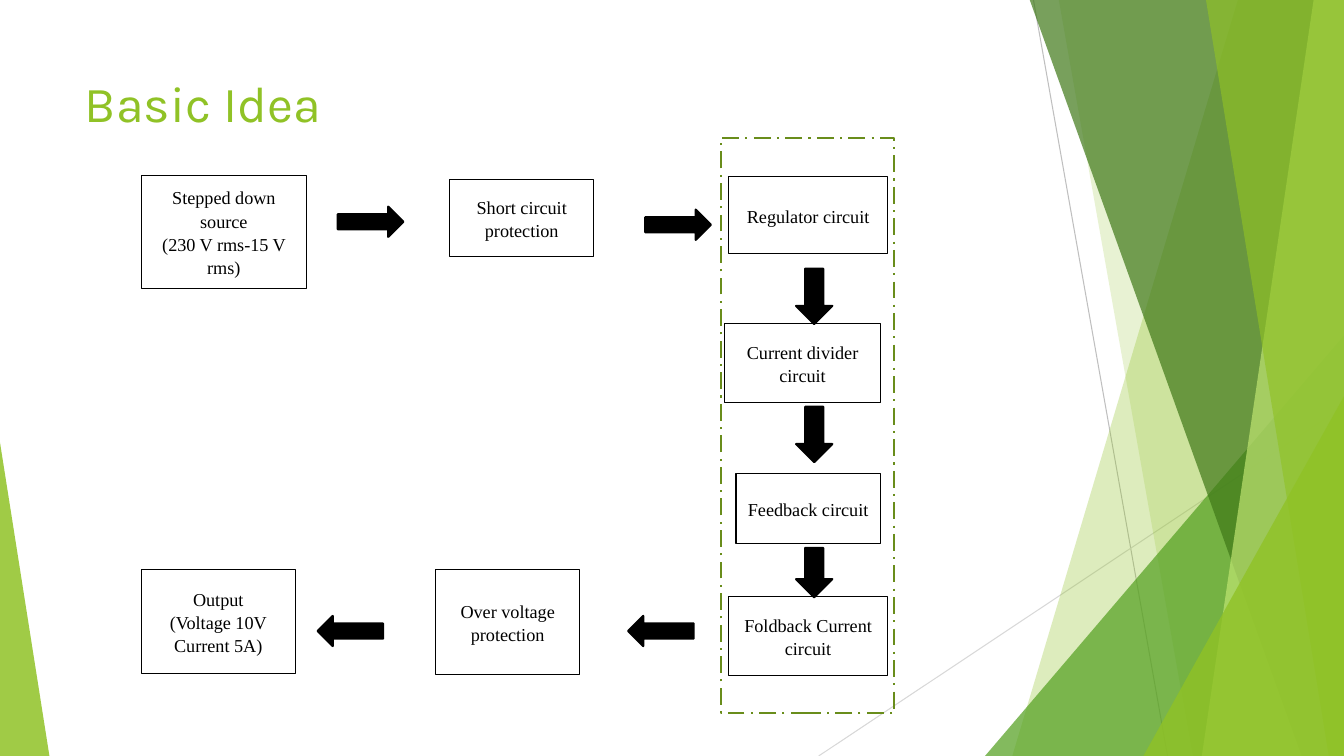
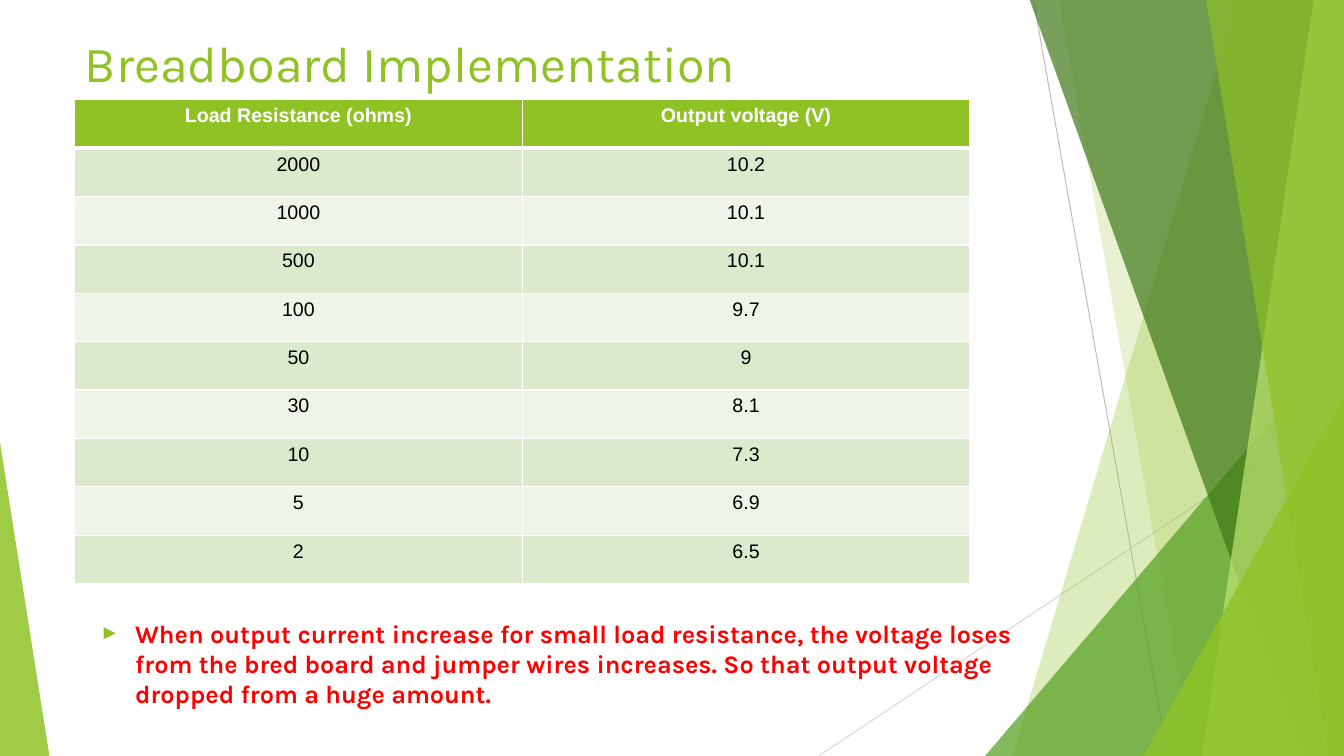
import pptx
import pptx.dml.color
import pptx.enum.dml
import pptx.enum.shapes
import pptx.enum.text
import pptx.oxml.ns
import pptx.util
from lxml import etree
from pptx.util import Inches

SLIDE_WIDTH, SLIDE_HEIGHT = 13.33, 7.5
GREEN, MID_GREEN, DARK_GREEN, PALE_GREEN = "90C226", "54A021", "3F7818", "BFE471"
FRAME_GREEN = "698D1B"
BLACK, WHITE, RED = "000000", "FFFFFF", "FF0000"
BAND_COLORS = ("DBE9CD", "EEF4E8")
THEME_FONT, DIAGRAM_FONT, TABLE_FONT = "Karla", "Times New Roman", "Arial"

PRESETS = pptx.enum.shapes.MSO_SHAPE
ANCHORS = pptx.enum.text.MSO_ANCHOR
ALIGNMENTS = pptx.enum.text.PP_ALIGN
qn = pptx.oxml.ns.qn

# Text, left, top, width, height
CIRCUIT_BLOCKS = (
    (("Stepped down source", "(230 V rms-15 V rms)"), 1.4, 1.74, 1.64, 1.12),
    (("Short circuit protection",), 4.46, 1.78, 1.43, 0.77),
    (("Regulator circuit",), 7.23, 1.75, 1.57, 0.77),
    (("Current divider circuit",), 7.19, 3.21, 1.54, 0.78),
    (("Feedback circuit",), 7.3, 4.7, 1.43, 0.69),
    (("Foldback Current circuit",), 7.23, 5.92, 1.57, 0.78),
    (("Over voltage protection",), 4.32, 5.65, 1.43, 1.04),
    (("Output", "(Voltage 10V", "Current 5A)"), 1.4, 5.65, 1.53, 1.03),
)
# Left, top, width, height, rotation
FLOW_ARROWS = (
    (3.35, 2.05, 0.65, 0.3, 0),
    (6.4, 2.08, 0.65, 0.3, 0),
    (7.8, 2.76, 0.55, 0.36, 90),
    (7.8, 4.13, 0.55, 0.36, 90),
    (7.83, 5.5, 0.49, 0.36, 90),
    (6.23, 6.11, 0.65, 0.3, 180),
    (3.15, 6.11, 0.65, 0.3, 180),
)
MEASUREMENTS = (
    ("Load Resistance (ohms)", "Output voltage (V)"),
    ("2000", "10.2"),
    ("1000", "10.1"),
    ("500", "10.1"),
    ("100", "9.7"),
    ("50", "9"),
    ("30", "8.1"),
    ("10", "7.3"),
    ("5", "6.9"),
    ("2", "6.5"),
)
CONCLUSION = (
    "When output current increase for small load resistance, the voltage loses "
    "from the bred board and jumper wires increases. So that output voltage "
    "dropped from a huge amount."
)


def rgb(color):
    return pptx.dml.color.RGBColor.from_string(color)


def add_run(paragraph, text, font, size, color, bold=False):
    run = paragraph.add_run()
    run.text = text
    run.font.name = font
    run.font.size = pptx.util.Pt(size)
    run.font.bold = bold
    run.font.color.rgb = rgb(color)


def paint(shape, fill=None, line=None, line_width=0.75, opacity=None):
    """Set fill, outline and opacity percentage; None means no fill or line."""
    shape.shadow.inherit = False
    if fill:
        shape.fill.solid()
        shape.fill.fore_color.rgb = rgb(fill)
    else:
        shape.fill.background()
    if opacity is not None:
        color = shape.element.spPr.find(".//" + qn("a:srgbClr"))
        etree.SubElement(color, qn("a:alpha"), val=str(opacity * 1000))
    if line:
        shape.line.color.rgb = rgb(line)
        shape.line.width = pptx.util.Pt(line_width)
    else:
        shape.line.fill.background()


def add_preset(shapes, preset, left, top, width, height):
    return shapes.add_shape(
        preset, Inches(left), Inches(top), Inches(width), Inches(height)
    )


def add_hairline(shapes, start, end, color):
    line = shapes.add_connector(
        pptx.enum.shapes.MSO_CONNECTOR.STRAIGHT,
        *(Inches(value) for value in start + end),
    )
    line.line.color.rgb = rgb(color)
    line.line.width = pptx.util.Pt(0.75)
    etree.SubElement(line.element.spPr, qn("a:effectLst"))


def add_shard(shapes, top_x, bottom_x, color, opacity):
    """Fill the area between a slanted edge and the right side of the slide."""
    corners = [
        (Inches(x), Inches(y))
        for x, y in (
            (top_x, -0.01),
            (SLIDE_WIDTH, -0.01),
            (SLIDE_WIDTH, SLIDE_HEIGHT),
            (bottom_x, SLIDE_HEIGHT),
        )
    ]
    builder = shapes.build_freeform(*corners[0])
    builder.add_line_segments(corners[1:], close=True)
    paint(builder.convert_to_shape(), color, opacity=opacity)


def add_corner_triangle(shapes, left, top, width, apex, color, opacity):
    triangle = add_preset(
        shapes, PRESETS.ISOSCELES_TRIANGLE, left, top, width, SLIDE_HEIGHT - top
    )
    triangle.adjustments[0] = apex
    paint(triangle, color, opacity=opacity)


def decorate_master(presentation, slide):
    """Build the green bands on a slide and move them to the slide master."""
    bands = slide.shapes.add_group_shape()
    shapes = bands.shapes
    add_hairline(shapes, (10.25, 0), (11.58, SLIDE_HEIGHT), "BFBFBF")
    add_hairline(shapes, (SLIDE_WIDTH, 4.03), (8.12, SLIDE_HEIGHT), "D8D8D8")
    add_shard(shapes, 12.28, 10.04, GREEN, 30)
    add_shard(shapes, 10.5, 11.83, GREEN, 20)
    add_corner_triangle(shapes, 9.77, 3.33, 3.56, 1, MID_GREEN, 72)
    add_shard(shapes, 10.21, 12.91, DARK_GREEN, 70)
    add_shard(shapes, 13.03, 11.92, PALE_GREEN, 70)
    add_shard(shapes, 11.96, 13.18, GREEN, 65)
    add_corner_triangle(shapes, 11.34, 3.93, 1.99, 1, GREEN, 80)
    add_corner_triangle(shapes, 0, 4.39, 0.49, 0, GREEN, 85)
    for number, properties in enumerate(bands.element.iter(qn("p:cNvPr")), 101):
        properties.set("id", str(number))
    presentation.slide_master.shapes.element.insert(2, bands.element)


def place_text(placeholder, left, top, width, height):
    """Position a placeholder and return its first paragraph, left aligned."""
    placeholder.left, placeholder.top = Inches(left), Inches(top)
    placeholder.width, placeholder.height = Inches(width), Inches(height)
    frame = placeholder.text_frame
    frame.word_wrap = True
    frame.auto_size = pptx.enum.text.MSO_AUTO_SIZE.NONE
    frame.vertical_anchor = ANCHORS.TOP
    paragraph = frame.paragraphs[0]
    paragraph.alignment = ALIGNMENTS.LEFT
    return paragraph


def set_title(slide, text, top, width, height):
    paragraph = place_text(slide.shapes.title, 0.74, top, width, height)
    add_run(paragraph, text, THEME_FONT, 36, GREEN)


def set_bullet(paragraph):
    paragraph.space_before = pptx.util.Pt(10)
    properties = paragraph._p.get_or_add_pPr()
    properties.set("marL", str(Inches(0.5)))
    properties.set("indent", str(Inches(-0.35)))
    color = etree.SubElement(properties, qn("a:buClr"))
    etree.SubElement(color, qn("a:srgbClr"), val=GREEN)
    etree.SubElement(properties, qn("a:buSzPct"), val="80000")
    etree.SubElement(properties, qn("a:buFont"), typeface=TABLE_FONT)
    etree.SubElement(properties, qn("a:buChar"), char="►")


def add_block(shapes, lines, left, top, width, height):
    block = add_preset(shapes, PRESETS.RECTANGLE, left, top, width, height)
    paint(block, WHITE, BLACK)
    frame = block.text_frame
    frame.word_wrap = True
    frame.vertical_anchor = ANCHORS.MIDDLE
    for index, text in enumerate(lines):
        paragraph = frame.add_paragraph() if index else frame.paragraphs[0]
        paragraph.alignment = ALIGNMENTS.CENTER
        paragraph.line_spacing = 1.07
        add_run(paragraph, text, DIAGRAM_FONT, 13, BLACK)


def add_arrow(shapes, left, top, width, height, rotation):
    arrow = add_preset(shapes, PRESETS.RIGHT_ARROW, left, top, width, height)
    arrow.rotation = rotation
    paint(arrow, BLACK, BLACK, 1.5)


def set_borders(cell, top, bottom):
    """Draw white borders, with the top and bottom widths in points."""
    properties = cell._tc.get_or_add_tcPr()
    for side, width in (("L", 1), ("R", 1), ("T", top), ("B", bottom)):
        border = etree.SubElement(
            properties, qn("a:ln" + side), w=str(pptx.util.Pt(width))
        )
        fill = etree.SubElement(border, qn("a:solidFill"))
        etree.SubElement(fill, qn("a:srgbClr"), val=WHITE)


def add_measurement_table(shapes, rows, left, top, column_width, row_height):
    column_count = len(rows[0])
    table = shapes.add_table(
        len(rows), column_count, Inches(left), Inches(top),
        Inches(column_width * column_count), Inches(row_height * len(rows)),
    ).table
    for row_index, values in enumerate(rows):
        header = row_index == 0
        fill = GREEN if header else BAND_COLORS[(row_index - 1) % 2]
        for column_index, text in enumerate(values):
            cell = table.cell(row_index, column_index)
            set_borders(cell, 3 if row_index == 1 else 1, 3 if header else 1)
            cell.fill.solid()
            cell.fill.fore_color.rgb = rgb(fill)
            paragraph = cell.text_frame.paragraphs[0]
            paragraph.alignment = ALIGNMENTS.CENTER
            color = WHITE if header else BLACK
            add_run(paragraph, text, TABLE_FONT, 14, color, header)


def build_basic_idea(slide):
    set_title(slide, "Basic Idea", 0.67, 2.88, 0.97)
    for block in CIRCUIT_BLOCKS:
        add_block(slide.shapes, *block)
    for arrow in FLOW_ARROWS:
        add_arrow(slide.shapes, *arrow)
    frame = add_preset(slide.shapes, PRESETS.RECTANGLE, 7.15, 1.37, 1.72, 5.7)
    paint(frame, line=FRAME_GREEN, line_width=1.5)
    frame.line.dash_style = pptx.enum.dml.MSO_LINE.LONG_DASH_DOT


def build_breadboard(slide):
    set_title(slide, "Breadboard Implementation", 0.27, 9.4, 1.44)
    paragraph = place_text(slide.placeholders[1], 0.74, 6.08, 9.4, 1.22)
    set_bullet(paragraph)
    add_run(paragraph, CONCLUSION, THEME_FONT, 18, RED, True)
    add_measurement_table(slide.shapes, MEASUREMENTS, 0.74, 0.99, 4.44, 0.48)


def main():
    presentation = pptx.Presentation()
    presentation.slide_width = Inches(SLIDE_WIDTH)
    presentation.slide_height = Inches(SLIDE_HEIGHT)
    title_and_content, title_only = (presentation.slide_layouts[i] for i in (1, 5))
    idea_slide = presentation.slides.add_slide(title_only)
    decorate_master(presentation, idea_slide)
    build_basic_idea(idea_slide)
    build_breadboard(presentation.slides.add_slide(title_and_content))
    presentation.save("out.pptx")


if __name__ == "__main__":
    main()
